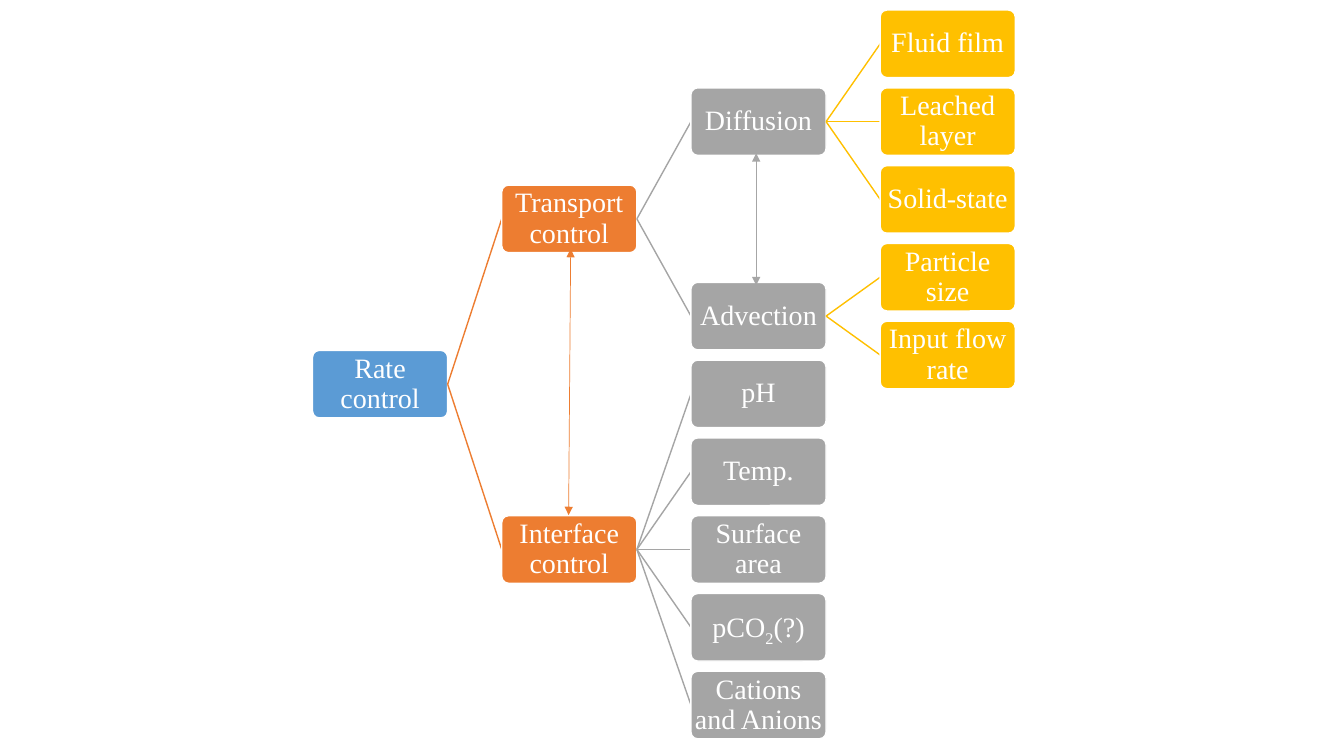
from pptx import Presentation
from pptx.dml.color import RGBColor
from pptx.enum.shapes import MSO_CONNECTOR as LINK, MSO_SHAPE as SHAPE
from pptx.enum.text import MSO_ANCHOR as ANCHOR, PP_ALIGN as ALIGN
from pptx.oxml.ns import qn
from pptx.util import Inches, Pt
from lxml.etree import SubElement

# Content: (label, children); "_" marks the next character as a subscript
TREE = ("Rate control", [
    ("Transport control", [
        ("Diffusion", [("Fluid film", []), ("Leached layer", []), ("Solid-state", [])]),
        ("Advection", [("Particle size", []), ("Input flow rate", [])]),
    ]),
    ("Interface control", [
        ("pH", []), ("Temp.", []), ("Surface area", []),
        ("pCO_2(?)", []), ("Cations and Anions", []),
    ]),
])

# Colours, one per tree level
BLUE = RGBColor(0x5B, 0x9B, 0xD5)
ORANGE = RGBColor(0xED, 0x7D, 0x31)
GREY = RGBColor(0xA5, 0xA5, 0xA5)
GOLD = RGBColor(0xFF, 0xC0, 0x00)
PALE = RGBColor(0xA6, 0xA6, 0xA6)
WHITE = RGBColor(0xFF, 0xFF, 0xFF)
LEVELS = [BLUE, ORANGE, GREY, GOLD]

# Two-way arrows: start, end, colour
ARROWS = [
    ((5.66, 2.47), (5.64, 5.11), ORANGE),
    ((7.5, 1.52), (7.5, 2.83), PALE),
]

# Sizes in inches
LEFT, TOP = 3.1, 0.1
WIDE, HIGH = 1.34, 0.67
COL = (8.73 - LEFT) / 3
ROW = (6.66 - TOP) / 8.5

# Formats
FONT = {"name": "Times New Roman", "size": Pt(20)}
PARA = {"alignment": ALIGN.CENTER, "line_spacing": 0.9}
FRAME = {"word_wrap": True, "vertical_anchor": ANCHOR.MIDDLE}
FRAME.update({f"margin_{side}": Inches(0.01)
              for side in ("left", "right", "top", "bottom")})


def style(item, form):
    for key, value in form.items():
        setattr(item, key, value)


def place(node, depth, free):
    """Give a leaf the next free row of its level, a parent the middle of its children."""
    label, kids = node
    kids = [place(kid, depth + 1, free) for kid in kids]
    row = (kids[0]["row"] + kids[-1]["row"]) / 2 if kids else free[depth]
    free[depth] = row + 1
    return {"label": label, "depth": depth, "row": row, "kids": kids}


def spot(node):
    return LEFT + node["depth"] * COL, TOP + node["row"] * ROW


def link(start, end, color, width):
    line = slide.shapes.add_connector(LINK.STRAIGHT, *map(Inches, start + end))
    line.line.color.rgb = color
    line.line.width = Pt(width)
    SubElement(line._element.spPr, qn("a:effectLst"))
    return line


def write(frame, label):
    style(frame, FRAME)
    para = frame.paragraphs[0]
    style(para, PARA)
    base, _, rest = label.partition("_")
    for text, shift in ((base, None), (rest[:1], "-25000"), (rest[1:], None)):
        if not text:
            continue
        run = para.add_run()
        run.text = text
        style(run.font, FONT)
        run.font.color.rgb = WHITE
        if shift:
            run._r.get_or_add_rPr().set("baseline", shift)


def draw(node):
    x, y = spot(node)
    box = slide.shapes.add_shape(
        SHAPE.ROUNDED_RECTANGLE, *map(Inches, (x, y, WIDE, HIGH)))
    box.adjustments[0] = 0.1
    box.shadow.inherit = False
    box.fill.solid()
    box.fill.fore_color.rgb = LEVELS[node["depth"]]
    box.line.color.rgb = WHITE
    box.line.width = Pt(1)
    write(box.text_frame, node["label"])
    for kid in node["kids"]:
        left, top = spot(kid)
        link((x + WIDE, y + HIGH / 2), (left, top + HIGH / 2),
             LEVELS[kid["depth"]], 1)
        draw(kid)


# Slide
deck = Presentation()
deck.slide_width, deck.slide_height = Inches(13.33), Inches(7.5)
slide = deck.slides.add_slide(deck.slide_layouts[6])

# Tree of boxes and branches
draw(place(TREE, 0, [0] * len(LEVELS)))

# Arrows between siblings
for start, end, color in ARROWS:
    arrow = link(start, end, color, 0.5)
    for tip in ("a:headEnd", "a:tailEnd"):
        SubElement(arrow.line._get_or_add_ln(), qn(tip), type="triangle")

deck.save("out.pptx")
